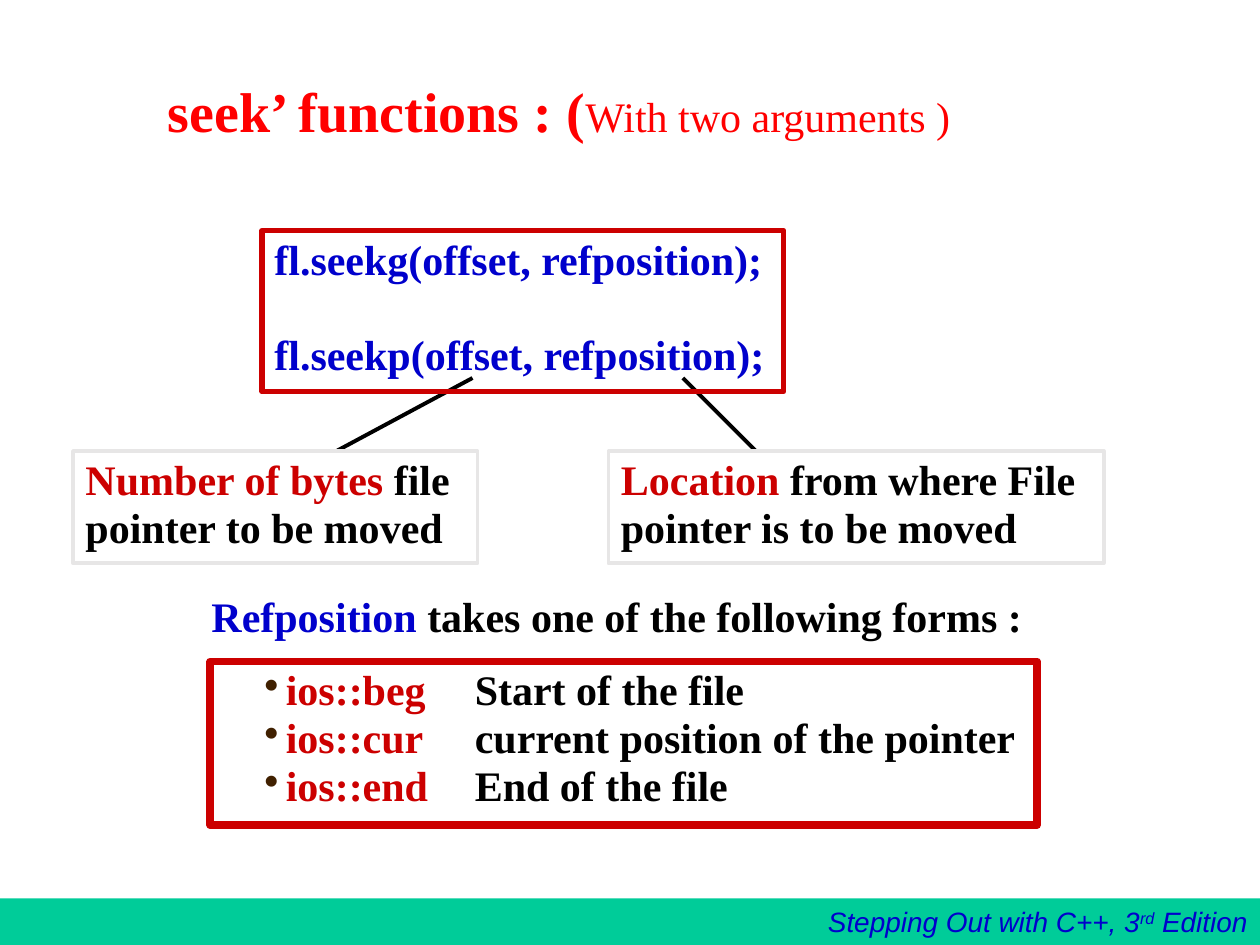
from dataclasses import dataclass

from lxml import etree
from pptx import Presentation
from pptx.dml.color import RGBColor
from pptx.enum.shapes import MSO_CONNECTOR, MSO_SHAPE
from pptx.enum.text import MSO_ANCHOR, MSO_AUTO_SIZE, PP_ALIGN
from pptx.oxml.ns import qn
from pptx.util import Inches, Pt

RECTANGLE = MSO_SHAPE.RECTANGLE
STRAIGHT = MSO_CONNECTOR.STRAIGHT
LEFT, RIGHT = PP_ALIGN.LEFT, PP_ALIGN.RIGHT
TOP, MIDDLE = MSO_ANCHOR.TOP, MSO_ANCHOR.MIDDLE
NO_RESIZE = MSO_AUTO_SIZE.NONE
TITLE_ONLY = 5


@dataclass(frozen=True)
class Theme:
    """Colours, fonts and type sizes of the slide."""

    black: str = "000000"
    blue: str = "0000CC"
    red: str = "CC0000"
    title_red: str = "FF0000"
    grey: str = "E7E6E6"
    green: str = "00CC99"
    bullet: str = "402000"
    serif: str = "Times New Roman"
    sans: str = "Arial"
    title_size: int = 32
    body_size: int = 24
    footer_size: int = 16
    line_spacing: float = 0.95


THEME = Theme()


def add_span(para, text, color):
    """Append a coloured run to a paragraph and return it."""
    span = para.add_run()
    span.text = text
    span.font.color.rgb = RGBColor.from_string(color)
    return span


def prepare_frame(box, anchor=TOP):
    """Make the text of a box wrap at a fixed size and return its frame."""
    frame = box.text_frame
    frame.word_wrap = True
    frame.auto_size = NO_RESIZE
    frame.vertical_anchor = anchor
    return frame


def write_lines(box, lines, gap=0):
    """Write bold lines, each a list of text and colour pairs."""
    frame = prepare_frame(box)
    for index, spans in enumerate(lines):
        para = frame.add_paragraph() if index else frame.paragraphs[0]
        para.alignment = LEFT
        para.line_spacing = THEME.line_spacing
        para.space_before = Pt(gap if index else 0)
        para.font.name = THEME.serif
        para.font.size = Pt(THEME.body_size)
        para.font.bold = True
        for text, color in spans:
            add_span(para, text, color)


def add_rectangle(page, left, top, width, height):
    """Add a plain rectangle without shadow, fill or outline."""
    box = page.shapes.add_shape(
        RECTANGLE, Inches(left), Inches(top), Inches(width), Inches(height)
    )
    box.shadow.inherit = False
    box.fill.background()
    box.line.fill.background()
    return box


def add_frame(page, area, color, weight, lines, gap=0):
    """Add an outlined rectangle holding bold lines."""
    box = add_rectangle(page, *area)
    box.line.color.rgb = RGBColor.from_string(color)
    box.line.width = Pt(weight)
    write_lines(box, lines, gap)
    return box


def add_bullet(para):
    """Give a paragraph a hanging round bullet."""
    properties = para._p.get_or_add_pPr()
    properties.set("lvl", "1")
    properties.set("marL", str(Inches(0.5)))
    properties.set("indent", str(Inches(-0.17)))
    color = etree.Element(qn("a:buClr"))
    etree.SubElement(color, qn("a:srgbClr"), val=THEME.bullet)
    mark = etree.Element(qn("a:buChar"), char="•")
    defaults = properties.find(qn("a:defRPr"))
    defaults.addprevious(color)
    defaults.addprevious(mark)


def add_pointer(page, start, end):
    """Draw a straight line from an argument to its explanation."""
    pointer = page.shapes.add_connector(STRAIGHT, *map(Inches, start + end))
    pointer.line.color.rgb = RGBColor.from_string(THEME.black)
    pointer.line.width = Pt(2.25)
    etree.SubElement(pointer._element.spPr, qn("a:effectLst"))


def add_footer(page):
    """Add the green band with the book title."""
    band = add_rectangle(page, 0, 7.13, 10, 0.37)
    band.fill.solid()
    band.fill.fore_color.rgb = RGBColor.from_string(THEME.green)
    para = prepare_frame(band).paragraphs[0]
    para.alignment = RIGHT
    para.font.name = THEME.sans
    para.font.size = Pt(THEME.footer_size)
    para.font.italic = True
    add_span(para, "Stepping Out with C++, 3", THEME.blue)
    ordinal = add_span(para, "rd", THEME.blue)
    ordinal._r.get_or_add_rPr().set("baseline", "30000")
    add_span(para, " Edition", THEME.blue)


def format_title(page):
    """Place and write the two-size title."""
    title = page.shapes.title
    title.left, title.top = Inches(1.23), Inches(0.25)
    title.width, title.height = Inches(8.35), Inches(1.25)
    para = prepare_frame(title, MIDDLE).paragraphs[0]
    para.alignment = LEFT
    para.font.name = THEME.serif
    for text, size, bold in (
        ("seek’ functions : (", THEME.title_size, True),
        ("With two arguments )", THEME.body_size, False),
    ):
        span = add_span(para, text, THEME.title_red)
        span.font.name = THEME.serif
        span.font.size = Pt(size)
        span.font.bold = bold


def add_arguments(page):
    """Add the two calls and the notes on their arguments."""
    black, blue, red = THEME.black, THEME.blue, THEME.red
    add_pointer(page, (3.75, 3), (2.67, 3.58))
    add_pointer(page, (5.42, 3), (6, 3.58))
    offset = [
        [("Number of bytes", red), (" file", black)],
        [("pointer to be moved", black)],
    ]
    location = [
        [("Location ", red), ("from where File", black)],
        [("pointer is to be moved", black)],
    ]
    add_frame(page, (0.58, 3.58, 3.21, 0.89), THEME.grey, 2.25, offset)
    add_frame(page, (4.83, 3.58, 3.93, 0.89), THEME.grey, 2.25, location)
    calls = [
        [(f"fl.{name}(offset, refposition);", blue)] for name in ("seekg", "seekp")
    ]
    add_frame(page, (2.08, 1.83, 4.14, 1.28), red, 3, calls, gap=27)


def add_forms(page):
    """Add the list of reference positions with its heading."""
    heading = page.shapes.add_textbox(
        Inches(1.58), Inches(4.67), Inches(6.64), Inches(0.48)
    )
    write_lines(heading, [[
        ("Refposition ", THEME.blue),
        ("takes one of the following forms :", THEME.black),
    ]])
    forms = {
        "ios::beg": "Start of the file",
        "ios::cur": "current position of the pointer",
        "ios::end": "End of the file",
    }
    lines = [
        [(f"{name}\t", THEME.red), (meaning, THEME.black)]
        for name, meaning in forms.items()
    ]
    box = add_frame(page, (1.67, 5.25, 6.56, 1.3), THEME.red, 4.5, lines)
    for para in box.text_frame.paragraphs:
        add_bullet(para)


def main():
    """Build the slide and save the deck."""
    deck = Presentation()
    deck.slide_width, deck.slide_height = Inches(10), Inches(7.5)
    page = deck.slides.add_slide(deck.slide_layouts[TITLE_ONLY])
    add_footer(page)
    format_title(page)
    add_arguments(page)
    add_forms(page)
    deck.save("out.pptx")


if __name__ == "__main__":
    main()
